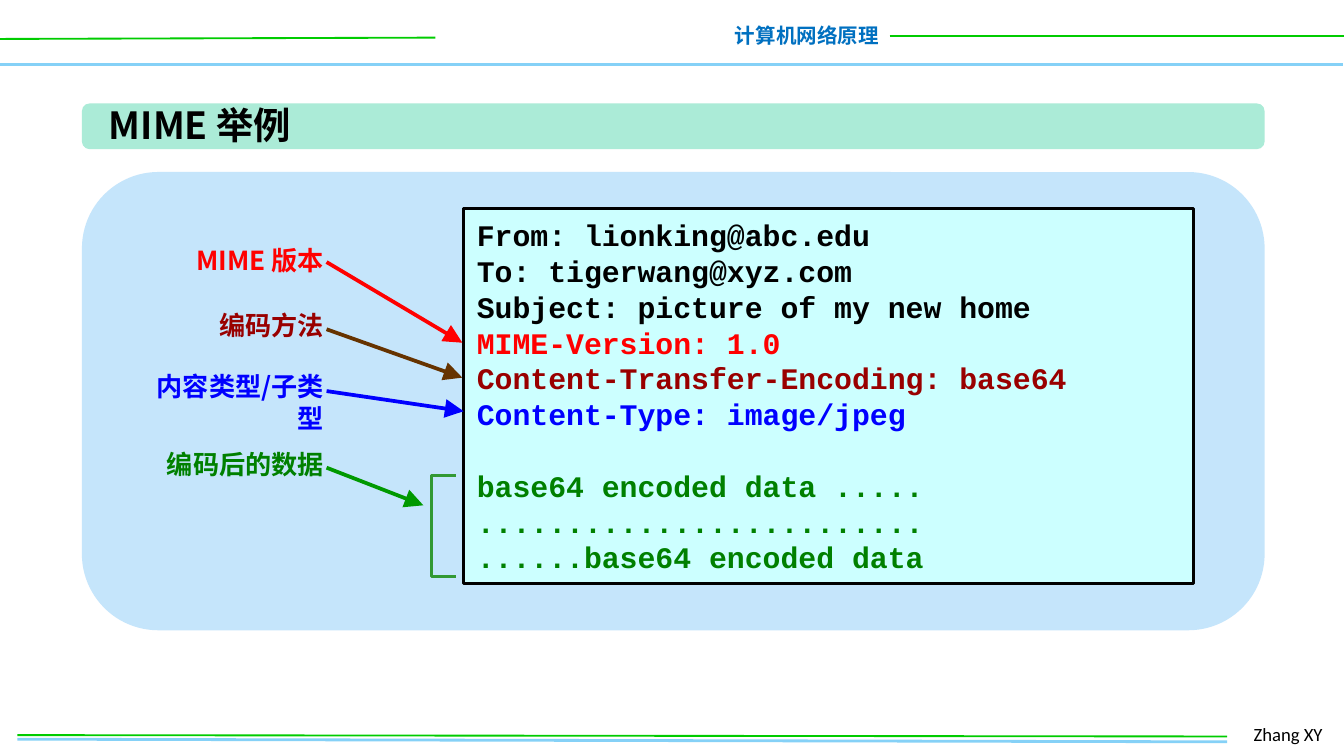
from lxml.etree import SubElement
from pptx import Presentation
from pptx.dml.color import RGBColor
from pptx.enum.shapes import MSO_CONNECTOR, MSO_SHAPE
from pptx.enum.text import MSO_ANCHOR, PP_ALIGN
from pptx.oxml.ns import qn
from pptx.util import Inches, Pt

SANS = "Noto Sans CJK SC"
GREEN, SKY = "00CC00", "85D1F7"
RED, MAROON, BLUE, LEAF = "FF0000", "990000", "0000FF", "008000"


def color(text):
    return RGBColor.from_string(text)


def write(shape, lines, size=14, font=SANS, ink="000000", bold=True,
          align=PP_ALIGN.LEFT, anchor=MSO_ANCHOR.TOP, wrap=True):
    """Fill a shape with lines, each one (text, ink, space before) or plain text."""
    frame = shape.text_frame
    frame.word_wrap = wrap
    frame.vertical_anchor = anchor
    frame.margin_left = frame.margin_right = Inches(0.1)
    frame.margin_top = frame.margin_bottom = Inches(0.05)
    for i, line in enumerate([lines] if isinstance(lines, str) else lines):
        text, tint, gap = (line, ink, 0) if isinstance(line, str) else line
        para = frame.paragraphs[0] if i == 0 else frame.add_paragraph()
        para.alignment = align
        if gap:
            para.space_before = Pt(gap)
        run = para.add_run()
        run.text = text
        run.font.size, run.font.bold, run.font.name = Pt(size), bold, font
        run.font.color.rgb = color(tint)
        if font == SANS:
            SubElement(run.font._element, qn("a:ea")).set("typeface", font)


def label(slide, x, y, w, h, text, **style):
    box = slide.shapes.add_textbox(Inches(x), Inches(y), Inches(w), Inches(h))
    write(box, text, **style)


def block(slide, kind, x, y, w, h, fill=None, line=None):
    shape = slide.shapes.add_shape(kind, Inches(x), Inches(y), Inches(w), Inches(h))
    shape.shadow.inherit = False
    if fill:
        shape.fill.solid()
        shape.fill.fore_color.rgb = color(fill)
    else:
        shape.fill.background()
    if line:
        shape.line.color.rgb = color(line)
        shape.line.width = Pt(1.5)
    else:
        shape.line.fill.background()
    return shape


def rule(slide, x1, y1, x2, y2, ink, width=1, arrow=False):
    line = slide.shapes.add_connector(MSO_CONNECTOR.STRAIGHT, Inches(x1),
                                      Inches(y1), Inches(x2), Inches(y2))
    line.line.color.rgb = color(ink)
    line.line.width = Pt(width)
    if arrow:
        tip = SubElement(line.line._get_or_add_ln(), qn("a:tailEnd"))
        for key, value in (("type", "triangle"), ("w", "lg"), ("len", "lg")):
            tip.set(key, value)
    SubElement(line._element.spPr, qn("a:effectLst"))


def header(slide, x, y, w):
    rule(slide, x - 0.01, y + 0.48, x + w - 0.01, y + 0.48, SKY, 2)
    rule(slide, x, y + 0.29, x + 3.24, y + 0.28, GREEN)
    label(slide, x + 5.36, y + 0.12, 1.28, 0.29, "计算机网络原理", size=11,
          ink="0070C0", align=PP_ALIGN.RIGHT, wrap=False)
    rule(slide, x + 6.62, y + 0.27, x + w + 0.01, y + 0.27, GREEN)


def footer(slide, x, y, w):
    rule(slide, x, y + 0.17, x + w, y + 0.19, SKY, 1.5)
    label(slide, x + w + 0.1, y, 0.74, 0.27, "Zhang XY", size=10,
          font="Calibri", bold=False)
    rule(slide, x, y + 0.14, x + w, y + 0.15, GREEN)


def heading(slide, x, y, w, h):
    block(slide, MSO_SHAPE.ROUNDED_RECTANGLE, x, y, w, h, "ABEBD7")
    title = slide.shapes.title
    title.left, title.top = Inches(x + 0.1), Inches(y - 0.06)
    title.width, title.height = Inches(5.55), Inches(0.44)
    write(title, "MIME 举例", size=20, anchor=MSO_ANCHOR.MIDDLE)
    slide.shapes._spTree.append(title._element)  # in front of the bar


def example(slide, x, y, w, h):
    block(slide, MSO_SHAPE.ROUNDED_RECTANGLE, x, y, w, h, "C5E5FB")

    # Mail message
    mail = block(slide, MSO_SHAPE.RECTANGLE, x + 2.84, y + 0.27, 5.43, 2.79,
                 "CCFFFF", "000000")
    write(mail, [
        "From: lionking@abc.edu",
        "To: tigerwang@xyz.com",
        "Subject: picture of my new home",
        ("MIME-Version: 1.0", RED, 0),
        ("Content-Transfer-Encoding: base64", MAROON, 0),
        ("Content-Type: image/jpeg", BLUE, 0),
        ("base64 encoded data .....", LEAF, 19.2),
        (".........................", LEAF, 0),
        ("......base64 encoded data", LEAF, 0),
    ], size=16, font="Courier New", anchor=MSO_ANCHOR.MIDDLE)

    # Notes with arrows: text, ink, arrow ink, top, arrow start y, end x, end y
    notes = [
        ("MIME 版本", RED, RED, 0.49, 0.67, 2.83, 1.27),
        ("编码方法", MAROON, "663300", 0.97, 1.17, 2.83, 1.53),
        ("内容类型/子类型", BLUE, BLUE, 1.43, 1.63, 2.84, 1.78),
        ("编码后的数据", LEAF, "009900", 2.01, 2.2, 2.54, 2.48),
    ]
    for text, ink, tint, top, start, tip, end in notes:
        label(slide, x + 0.3, y + top, 1.6, 0.34, text, ink=ink,
              align=PP_ALIGN.RIGHT)
        rule(slide, x + 1.82, y + start, x + tip, y + end, tint, 2, arrow=True)

    # Bracket beside the encoded data
    brace = block(slide, MSO_SHAPE.LEFT_BRACKET, x + 2.6, y + 2.26, 0.18, 0.75,
                  line="339933")
    brace.adjustments[0] = 0


def main():
    deck = Presentation()
    deck.slide_width = Inches(10)
    deck.slide_height = deck.slide_width * 9 // 16
    slide = deck.slides.add_slide(deck.slide_layouts[5])
    header(slide, 0, 0, 10)
    footer(slide, 0.13, 5.33, 9)
    example(slide, 0.61, 1.28, 8.8, 3.41)
    heading(slide, 0.61, 0.77, 8.8, 0.34)
    deck.save("out.pptx")


if __name__ == "__main__":
    main()
